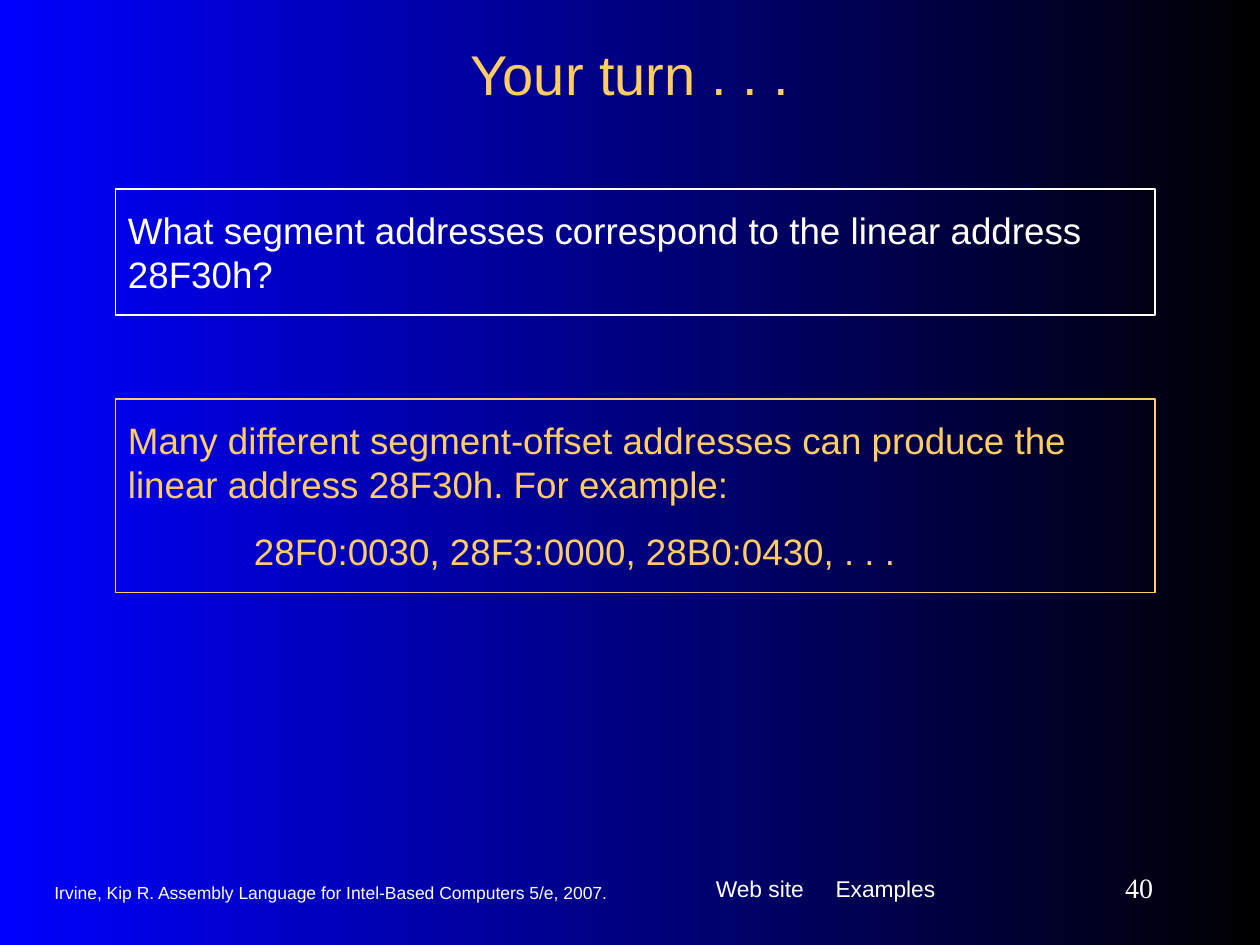
from dataclasses import dataclass
from typing import Optional

from lxml.etree import SubElement
from pptx import Presentation
from pptx.dml.color import RGBColor as Rgb
from pptx.enum.shapes import MSO_SHAPE as Shape
from pptx.enum.text import MSO_ANCHOR as Anchor, PP_ALIGN as Align
from pptx.oxml.ns import qn
from pptx.util import Inches, Pt

COLUMNS, ROWS = 120, 90


@dataclass(frozen=True)
class Theme:
    white: Rgb = Rgb(0xFF, 0xFF, 0xFF)
    gold: Rgb = Rgb(0xFF, 0xCC, 0x66)
    blue: Rgb = Rgb(0x00, 0x00, 0xFF)
    black: Rgb = Rgb(0x00, 0x00, 0x00)
    sans: str = "Arial"
    serif: str = "Times New Roman"
    title: float = 32
    body: float = 21
    number: float = 16
    links: float = 13
    citation: float = 10
    gap: float = 13.1
    outline: float = 0.75


THEME = Theme()


@dataclass(frozen=True)
class Block:
    column: float
    row: float
    columns: float
    rows: float
    lines: tuple[str, ...]
    size: float
    color: Rgb = THEME.white
    font: str = THEME.sans
    align: Align = Align.LEFT
    anchor: Anchor = Anchor.MIDDLE
    padding: float = 0.05
    tab: Optional[float] = None
    framed: bool = False


def apply(target: object, values: dict) -> None:
    for name, value in values.items():
        setattr(target, name, value)


def add_tab_stop(paragraph, position: float) -> None:
    stops = SubElement(paragraph._p.get_or_add_pPr(), qn("a:tabLst"))
    SubElement(stops, qn("a:tab"), pos=str(Inches(position)), algn="l")


def draw_block(slide, block: Block, cell_width: float, cell_height: float) -> None:
    area = (
        round(block.column * cell_width),
        round(block.row * cell_height),
        round(block.columns * cell_width),
        round(block.rows * cell_height),
    )
    if block.framed:
        panel = slide.shapes.add_shape(Shape.RECTANGLE, *area)
        panel.shadow.inherit = False
        panel.fill.background()
        panel.line.color.rgb = block.color
        panel.line.width = Pt(THEME.outline)
    else:
        panel = slide.shapes.add_textbox(*area)
    frame = panel.text_frame
    apply(frame, {
        "word_wrap": True,
        "vertical_anchor": block.anchor,
        "margin_left": Inches(0.1),
        "margin_right": Inches(0.1),
        "margin_top": Inches(block.padding),
        "margin_bottom": Inches(block.padding),
    })
    for index, line in enumerate(block.lines):
        paragraph = frame.add_paragraph() if index else frame.paragraphs[0]
        paragraph.alignment = block.align
        if index:
            paragraph.space_before = Pt(THEME.gap)
        if block.tab and "\t" in line:
            add_tab_stop(paragraph, block.tab)
        run = paragraph.add_run()
        run.text = line
        apply(run.font, {"name": block.font, "size": Pt(block.size)})
        run.font.color.rgb = block.color


def paint_background(slide) -> None:
    fill = slide.background.fill
    fill.gradient()
    fill.gradient_angle = 0
    for stop, color in zip(fill.gradient_stops, (THEME.blue, THEME.black)):
        stop.color.rgb = color


BLOCKS = (
    Block(67, 82, 31, 6.2, ("Web site\tExamples",), THEME.links,
          anchor=Anchor.TOP, padding=0.15, tab=0.95),
    Block(4, 83, 62, 4,
          ("Irvine, Kip R. Assembly Language for Intel-Based Computers 5/e, 2007.",),
          THEME.citation),
    Block(98, 82, 13, 5, ("40",), THEME.number, font=THEME.serif, align=Align.RIGHT),
    Block(9, 3, 102, 8, ("Your turn . . .",), THEME.title, THEME.gold,
          align=Align.CENTER),
    Block(11, 18, 99, 12,
          ("What segment addresses correspond to the linear address 28F30h?",),
          THEME.body, anchor=Anchor.TOP, padding=0.15, framed=True),
    Block(11, 38, 99, 18.4,
          ("Many different segment-offset addresses can produce the linear address "
           "28F30h. For example:",
           "\t28F0:0030, 28F3:0000, 28B0:0430, . . ."),
          THEME.body, THEME.gold, anchor=Anchor.TOP, padding=0.15, tab=1,
          framed=True),
)


def main() -> None:
    deck = Presentation()
    apply(deck, {"slide_width": Inches(10), "slide_height": Inches(7.5)})
    slide = deck.slides.add_slide(deck.slide_layouts[6])
    paint_background(slide)
    for block in BLOCKS:
        draw_block(slide, block, deck.slide_width / COLUMNS, deck.slide_height / ROWS)
    deck.save("out.pptx")


if __name__ == "__main__":
    main()
